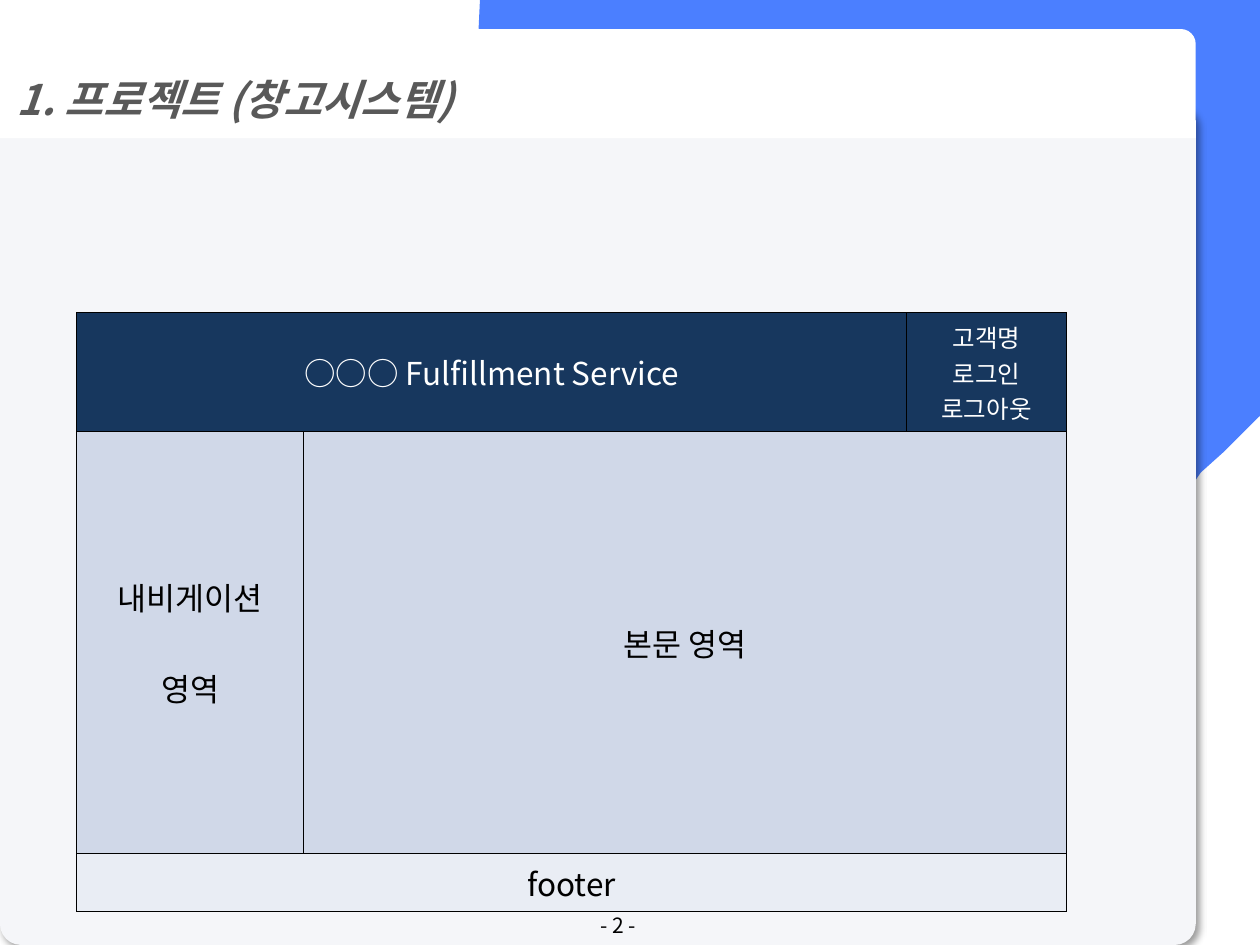
from lxml import etree
from pptx import Presentation
from pptx.dml.color import RGBColor
from pptx.enum import shapes, text
from pptx.oxml import ns, parse_xml
from pptx.util import Pt

FONT = "Noto Sans CJK KR"
HEX = {
    "white": "FFFFFF", "black": "000000", "blue": "4B7FFF", "card": "F5F6F9",
    "title": "595959", "navy": "17375E", "body": "D0D8E8", "foot": "E9EDF4",
}
# Each step is one point (line) or three points (cubic curve).
RIBBON = [
    [(720, 0)], [(720, 237.6)], [(699.8, 257.8)], [(686.2, 270)], [(683.3, 274.3)],
    [(679.7, 278.6), (676.1, 282.2), (672.5, 285.8)], [(463, 494.6)],
    [(405.4, 551.5), (315.4, 555.1), (254.2, 505.4)], [(242.6, 494.6)], [(231.8, 483.1)],
    [(182.2, 421.9), (185.8, 332.6), (242.6, 275.8)], [(351.4, 167.8)], [(326.9, 143.3)],
    [(290.9, 108), (273.6, 61.9), (273.6, 15.1)], [(274.3, 0)],
]


def color(name):
    return RGBColor.from_string(HEX[name])


def paint(shape, name):
    shape.fill.solid()
    shape.fill.fore_color.rgb = color(name)
    shape.line.fill.background()
    shape.shadow.inherit = False


def curve(a, b, c, d, steps=16):
    """Points along a cubic curve, without its start."""
    for i in range(1, steps + 1):
        t = i / steps
        s = 1 - t
        yield tuple(s**3 * p + 3 * s * s * t * q + 3 * s * t * t * r + t**3 * e
                    for p, q, r, e in zip(a, b, c, d))


def add_ribbon(slide):
    dots = [RIBBON[0][0]]
    for step in RIBBON[1:]:
        dots += step if len(step) == 1 else list(curve(dots[-1], *step))
    dots = [(Pt(x), Pt(y)) for x, y in dots]
    pen = slide.shapes.build_freeform(*dots[0])
    pen.add_line_segments(dots[1:], close=True)
    paint(pen.convert_to_shape(), "blue")


def add_panel(slide, kind, box, adjust, fill):
    shape = slide.shapes.add_shape(kind, *map(Pt, box))
    for i, value in enumerate(adjust):
        shape.adjustments[i] = value
    paint(shape, fill)
    return shape


def add_shadow(shape):
    effects = shape._element.spPr.find(ns.qn("a:effectLst"))
    effects.append(parse_xml(
        f'<a:outerShdw {ns.nsdecls("a")} blurRad="{Pt(4)}" dist="{Pt(3)}" dir="2700000" '
        f'algn="tl" rotWithShape="0"><a:srgbClr val="{HEX["black"]}">'
        '<a:alpha val="40000"/></a:srgbClr></a:outerShdw>'))


def write(frame, lines, size, tint, align=text.PP_ALIGN.CENTER, gap=0, bold=None):
    """Fill a frame, one paragraph a line; bold text is also italic."""
    frame.word_wrap = True
    for i, line in enumerate(lines):
        para = frame.paragraphs[0] if i == 0 else frame.add_paragraph()
        para.alignment = align
        if i and gap:
            para.space_before = Pt(gap)
        run = para.add_run()
        run.text = line
        font = run.font
        font.name, font.size = FONT, Pt(size)
        font.bold = font.italic = bold
        font.color.rgb = color(tint)
        east = etree.SubElement(run._r.get_or_add_rPr(), ns.qn("a:ea"))
        east.set("typeface", FONT)


def add_title(slide):
    bar = add_panel(slide, shapes.MSO_SHAPE.ROUND_2_SAME_RECTANGLE,
                    (0, 16.6, 683.3, 62.3), (0.137, 0), "white")
    frame = bar.text_frame
    frame.vertical_anchor = text.MSO_ANCHOR.MIDDLE
    write(frame, ["1. 프로젝트 (창고시스템)"], 24, "title", text.PP_ALIGN.LEFT, bold=True)
    frame.paragraphs[0].line_spacing = 1.5


def add_page(slide):
    box = slide.shapes.add_textbox(Pt(269.3), Pt(519.4), Pt(167.8), Pt(18.7))
    box.text_frame.vertical_anchor = text.MSO_ANCHOR.MIDDLE
    write(box.text_frame, ["- 2 -"], 12, "black")


def add_borders(cell):
    props = cell._tc.get_or_add_tcPr()
    for i, side in enumerate(("lnL", "lnR", "lnT", "lnB")):
        props.insert(i, parse_xml(
            f'<a:{side} {ns.nsdecls("a")} w="{Pt(0.5)}"><a:solidFill>'
            f'<a:srgbClr val="{HEX["black"]}"/></a:solidFill></a:{side}>'))


def add_layout(slide):
    cols, rows = (129.6, 344.5, 91.4), (68, 241.2, 33.2)
    table = slide.shapes.add_table(
        3, 3, Pt(43.9), Pt(178.6), Pt(sum(cols)), Pt(sum(rows))).table
    for col, width in zip(table.columns, cols):
        col.width = Pt(width)
    for row, height in zip(table.rows, rows):
        row.height = Pt(height)
    for row, fill in enumerate(("navy", "body", "foot")):
        for col in range(3):
            cell = table.cell(row, col)
            cell.fill.solid()
            cell.fill.fore_color.rgb = color(fill)
            cell.vertical_anchor = text.MSO_ANCHOR.MIDDLE
            add_borders(cell)
    for row, first, last in ((0, 0, 1), (1, 1, 2), (2, 0, 2)):
        table.cell(row, first).merge(table.cell(row, last))
    for row, col, lines, size, tint, gap in (
        (0, 0, ["○○○ Fulfillment Service"], 18, "white", 0),
        (0, 2, ["고객명", "로그인", "로그아웃"], 14, "white", 0),
        (1, 0, ["내비게이션", "영역"], 18, "black", 26),
        (1, 1, ["본문 영역"], 18, "black", 0),
        (2, 0, ["footer"], 18, "black", 0),
    ):
        write(table.cell(row, col).text_frame, lines, size, tint, gap=gap)


def main():
    deck = Presentation()
    deck.slide_width, deck.slide_height = Pt(720), Pt(540)
    slide = deck.slides.add_slide(deck.slide_layouts[6])
    add_ribbon(slide)
    card = add_panel(slide, shapes.MSO_SHAPE.ROUNDED_RECTANGLE,
                     (0, 59.8, 683.3, 480.2), (0.025,), "card")
    add_shadow(card)
    add_title(slide)
    add_page(slide)
    add_layout(slide)
    deck.save("out.pptx")


if __name__ == "__main__":
    main()
